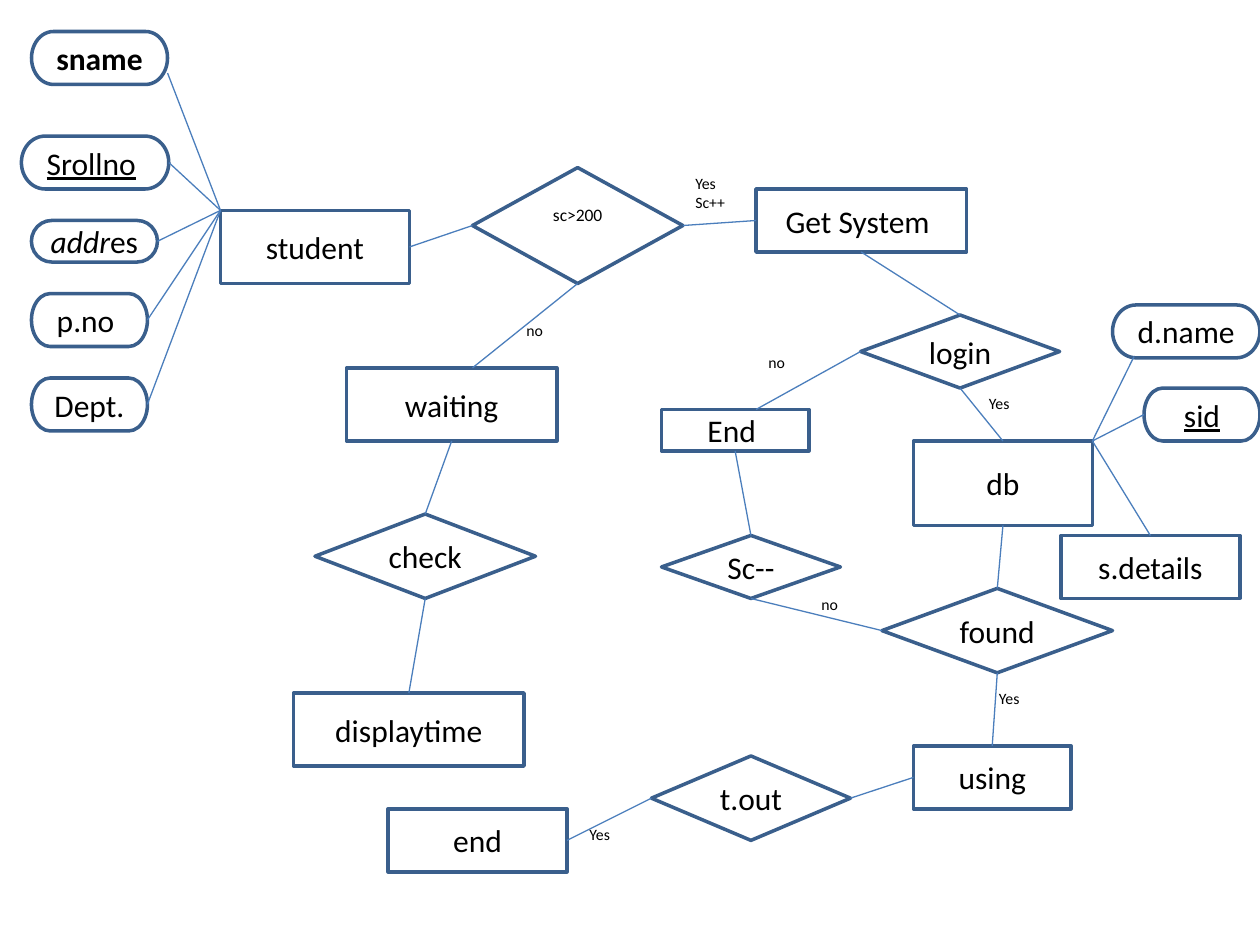
import dataclasses

import lxml.etree
import pptx
import pptx.dml.color
import pptx.enum.shapes
import pptx.enum.text
import pptx.oxml.ns
import pptx.util

Inches = pptx.util.Inches
Shapes = pptx.enum.shapes.MSO_SHAPE
TOP, LEFT, BOTTOM, RIGHT = range(4)


@dataclasses.dataclass(frozen=True)
class Theme:
    font: str = "Calibri"
    text: str = "000000"
    fill: str = "FFFFFF"
    outline: str = "3A5F8C"
    link: str = "4B7EBC"
    node_size: float = 18
    condition_size: float = 10
    label_size: float = 9
    outline_width: float = 2
    link_width: float = 0.75


THEME = Theme()

ENTITIES = [
    ("student", 1.75, 1.67, 1.5, 0.58),
    ("db", 7.25, 3.5, 1.42, 0.67),
    ("End ", 5.25, 3.25, 1.17, 0.33),
    ("using", 7.25, 5.92, 1.25, 0.5),
    ("waiting", 2.75, 2.92, 1.67, 0.58),
    ("displaytime", 2.33, 5.5, 1.83, 0.58),
    ("end", 3.08, 6.42, 1.42, 0.5),
    ("s.details", 8.42, 4.25, 1.42, 0.5),
]
DECISIONS = [
    ("check", 2.5, 4.08, 1.75, 0.67),
    ("found", 7, 4.67, 1.83, 0.67),
    ("Sc--", 5.25, 4.25, 1.42, 0.5),
    ("login", 6.83, 2.5, 1.58, 0.58),
    ("t.out", 5.17, 6, 1.58, 0.67),
]
ATTRIBUTES = [
    ("sname", 0.25, 0.25, 1.08, 0.42, {"bold": True}),
    ("Srollno", 0.17, 1.08, 1.17, 0.42, {"underline": True, "right_inset": 0.16}),
    ("p.no", 0.25, 2.33, 0.92, 0.42, {"right_inset": 0.16}),
    ("Dept.", 0.25, 3, 0.92, 0.42, {}),
    ("sid", 9.08, 3.08, 0.92, 0.42, {"underline": True}),
    ("d.name", 8.83, 2.42, 1.17, 0.42, {}),
]
STUDENT_CORNER = (1.75, 1.67)
DB_CORNER = (8.67, 3.5)
LINKS = [
    ((1.33, 0.58), STUDENT_CORNER),
    (("Srollno", RIGHT), STUDENT_CORNER),
    (("addres", RIGHT), STUDENT_CORNER),
    (("p.no", RIGHT), STUDENT_CORNER),
    (("Dept.", RIGHT), STUDENT_CORNER),
    (("student", RIGHT), ("sc>200", LEFT)),
    (("sc>200", RIGHT), ("Get System ", LEFT)),
    (("sc>200", BOTTOM), (3.75, 2.92)),
    (("waiting", BOTTOM), ("check", TOP)),
    (("check", BOTTOM), ("displaytime", TOP)),
    (("Get System ", BOTTOM), ("login", TOP)),
    (("login", BOTTOM), ("db", TOP)),
    (("login", LEFT), (6, 3.25)),
    (("found", LEFT), ("Sc--", BOTTOM)),
    (("Sc--", TOP), ("End ", BOTTOM)),
    (("db", BOTTOM), ("found", TOP)),
    (("found", BOTTOM), ("using", TOP)),
    (("t.out", RIGHT), ("using", LEFT)),
    (("end", RIGHT), ("t.out", LEFT)),
    (DB_CORNER, (9, 2.83)),
    (DB_CORNER, ("sid", LEFT)),
    (DB_CORNER, ("s.details", TOP)),
]
LABELS = [
    (["Yes", "Sc++"], 5.42, 1.33, 0.75, 0.4),
    (["no"], 4.08, 2.5, 0.92, 0.25),
    (["no"], 6, 2.75, 0.5, 0.25),
    (["no"], 6.42, 4.67, 0.5, 0.25),
    (["Yes"], 7.75, 3.08, 0.75, 0.4),
    (["Yes"], 7.83, 5.42, 0.75, 0.4),
    (["Yes"], 4.58, 6.5, 0.75, 0.4),
]


def color(value):
    return pptx.dml.color.RGBColor.from_string(value)


def add_text(paragraph, text, size=THEME.node_size, bold=False, italic=False, underline=False):
    run = paragraph.add_run()
    run.text = text
    run.font.name = THEME.font
    run.font.size = pptx.util.Pt(size)
    run.font.color.rgb = color(THEME.text)
    run.font.bold = bold
    run.font.italic = italic
    run.font.underline = underline


def add_node(slide, kind, left, top, width, height, right_inset=0.1, bottom_inset=0.05):
    shape = slide.shapes.add_shape(kind, Inches(left), Inches(top), Inches(width), Inches(height))
    shape.shadow.inherit = False
    shape.fill.solid()
    shape.fill.fore_color.rgb = color(THEME.fill)
    shape.line.color.rgb = color(THEME.outline)
    shape.line.width = pptx.util.Pt(THEME.outline_width)
    frame = shape.text_frame
    frame.word_wrap = True
    frame.margin_right = Inches(right_inset)
    frame.margin_bottom = Inches(bottom_inset)
    frame.vertical_anchor = pptx.enum.text.MSO_ANCHOR.MIDDLE
    frame.paragraphs[0].alignment = pptx.enum.text.PP_ALIGN.CENTER
    return shape


def add_text_node(slide, kind, text, box, right_inset=0.1, bottom_inset=0.05, **text_format):
    shape = add_node(slide, kind, *box, right_inset, bottom_inset)
    add_text(shape.text_frame.paragraphs[0], text, **text_format)
    return shape


def add_link(slide, nodes, start, end):
    points = [Inches(0) if isinstance(value, str) else Inches(value) for value in start + end]
    connector = slide.shapes.add_connector(pptx.enum.shapes.MSO_CONNECTOR.STRAIGHT, *points)
    for place, connect in ((start, connector.begin_connect), (end, connector.end_connect)):
        if isinstance(place[0], str):
            connect(nodes[place[0]], place[1])
    connector.line.color.rgb = color(THEME.link)
    connector.line.width = pptx.util.Pt(THEME.link_width)
    properties = connector._element.spPr
    lxml.etree.SubElement(properties, pptx.oxml.ns.qn("a:effectLst"))


def add_label(slide, lines, left, top, width, height):
    box = slide.shapes.add_textbox(Inches(left), Inches(top), Inches(width), Inches(height))
    frame = box.text_frame
    frame.word_wrap = True
    frame.auto_size = pptx.enum.text.MSO_AUTO_SIZE.SHAPE_TO_FIT_TEXT
    for index, line in enumerate(lines):
        paragraph = frame.add_paragraph() if index else frame.paragraphs[0]
        add_text(paragraph, line, size=THEME.label_size)


def add_nodes(slide):
    nodes = {}
    for kind, rows in ((Shapes.RECTANGLE, ENTITIES), (Shapes.FLOWCHART_DECISION, DECISIONS)):
        for text, *box in rows:
            nodes[text] = add_text_node(slide, kind, text, box)
    for text, *box, text_format in ATTRIBUTES:
        nodes[text] = add_text_node(slide, Shapes.FLOWCHART_TERMINATOR, text, box, **text_format)
    nodes["Get System "] = add_text_node(
        slide, Shapes.FLOWCHART_PROCESS, "Get System ", (6, 1.5, 1.67, 0.5))
    nodes["sc>200"] = add_text_node(
        slide, Shapes.FLOWCHART_DECISION, "sc>200", (3.75, 1.33, 1.67, 0.92),
        bottom_inset=0.22, size=THEME.condition_size)
    address = add_node(slide, Shapes.FLOWCHART_TERMINATOR, 0.25, 1.75, 1, 0.33)
    add_text(address.text_frame.paragraphs[0], "addr", italic=True)
    add_text(address.text_frame.paragraphs[0], "es")
    nodes["addres"] = address
    return nodes


def main():
    presentation = pptx.Presentation()
    presentation.slide_width = Inches(10)
    presentation.slide_height = Inches(7.5)
    slide = presentation.slides.add_slide(presentation.slide_layouts[6])
    nodes = add_nodes(slide)
    for start, end in LINKS:
        add_link(slide, nodes, start, end)
    for lines, *box in LABELS:
        add_label(slide, lines, *box)
    presentation.save("out.pptx")


main()
